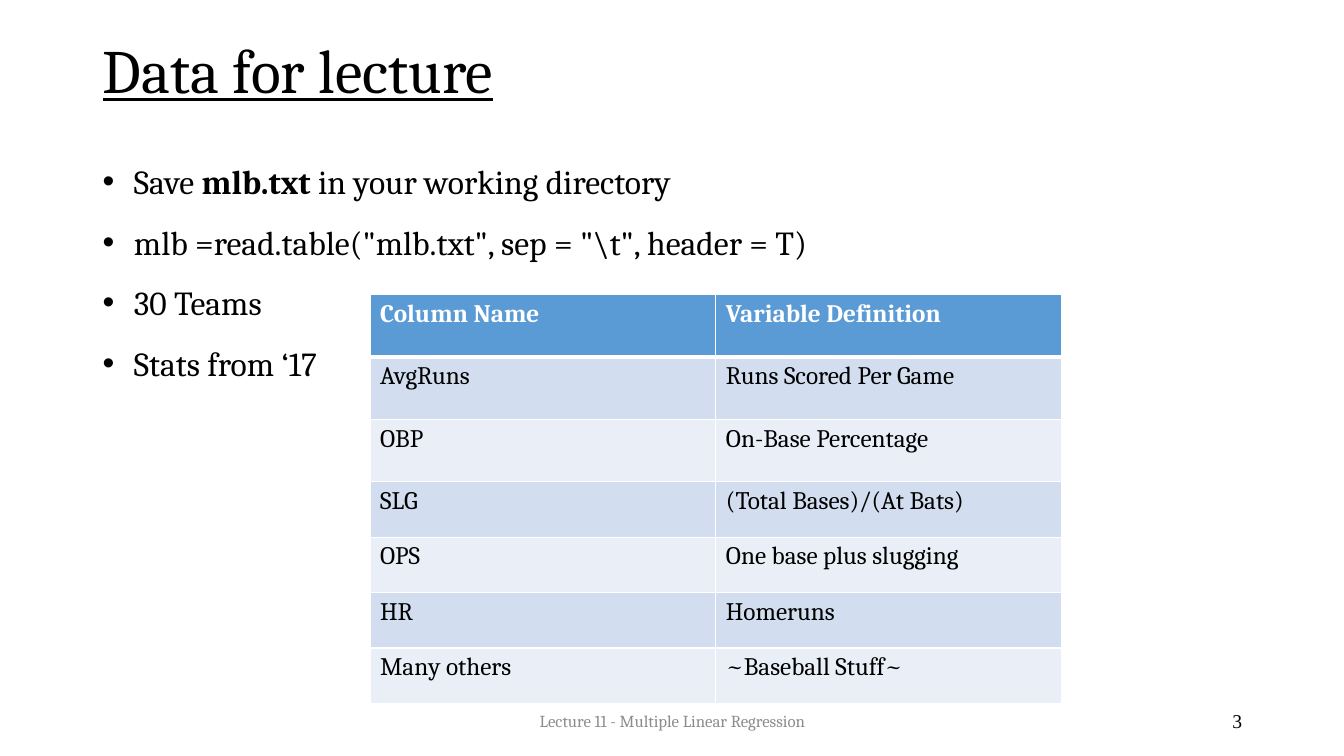
from dataclasses import dataclass

from lxml import etree
from pptx import Presentation
from pptx import util as u
from pptx.dml.color import RGBColor
from pptx.enum import text
from pptx.oxml import ns

PX = 9144  # EMU per px, 100 px to the inch


@dataclass(frozen=True)
class Theme:
    serif: str = "Cambria"
    times: str = "Times New Roman"
    ink: str = "000000"
    grey: str = "8C8C8C"
    white: str = "FFFFFF"
    head: str = "5B9BD5"
    bands: tuple = ("D2DEEF", "EAEFF7")
    title: int = 44
    body: int = 24
    cell: int = 18
    page: int = 14
    foot: int = 12


T = Theme()
LEFT, MID, RIGHT = text.PP_ALIGN.LEFT, text.PP_ALIGN.CENTER, text.PP_ALIGN.RIGHT

POINTS = [
    [("Save ", False), ("mlb.txt ", True), ("in your working directory", False)],
    [('mlb =read.table("mlb.txt", sep = "\\t", header = T)', False)],
    [("30 Teams", False)],
    [("Stats from ‘17", False)],
]
ROWS = [
    ("Column Name", "Variable Definition"),
    ("AvgRuns", "Runs Scored Per Game"),
    ("OBP", "On-Base Percentage"),
    ("SLG", "(Total Bases)/(At Bats)"),
    ("OPS", "One base plus slugging"),
    ("HR", "Homeruns"),
    ("Many others", "~Baseball Stuff~"),
]


def scale(*box):
    return [n * PX for n in box]


def style(font, size, color=T.ink, name=T.serif, **more):
    form = dict(size=u.Pt(size), name=name, **more)
    for key, val in form.items():
        setattr(font, key, val)
    font.color.rgb = RGBColor.from_string(color)


def title(slide, box, words):
    shape = slide.shapes.title
    for key, val in zip(("left", "top", "width", "height"), scale(*box)):
        setattr(shape, key, val)
    frame = shape.text_frame
    frame.text = words
    frame.auto_size = text.MSO_AUTO_SIZE.NONE
    frame.vertical_anchor = text.MSO_ANCHOR.MIDDLE
    para = frame.paragraphs[0]
    para.alignment, para.line_spacing = LEFT, 0.9
    style(para.runs[0].font, T.title, underline=True)


def bullet(para, hang):
    props = para._p.get_or_add_pPr()
    props.set("marL", str(hang * PX))
    props.set("indent", str(-hang * PX))
    etree.SubElement(props, ns.qn("a:buFont")).set("typeface", "Arial")
    etree.SubElement(props, ns.qn("a:buChar")).set("char", "•")


def points(slide, box, items):
    frame = slide.shapes.add_textbox(*scale(*box)).text_frame
    frame.word_wrap = True
    for i, item in enumerate(items):
        para = frame.add_paragraph() if i else frame.paragraphs[0]
        bullet(para, 31)
        para.line_spacing = 1.5
        for words, bold in item:
            run = para.add_run()
            run.text = words
            style(run.font, T.body, bold=bold)


def edge(cell, side, width):
    line = etree.SubElement(cell._tc.get_or_add_tcPr(), ns.qn("a:ln" + side))
    line.set("w", str(u.Pt(width)))
    fill = etree.SubElement(line, ns.qn("a:solidFill"))
    etree.SubElement(fill, ns.qn("a:srgbClr")).set("val", T.white)


def table(slide, box, rows, tall=3):
    """The first `tall` rows are higher than the rest."""
    frame = slide.shapes.add_table(len(rows), len(rows[0]), *scale(*box))
    grid = frame.table
    for r, row in enumerate(rows):
        grid.rows[r].height = (62 if r < tall else 55) * PX
        for c, words in enumerate(row):
            cell = grid.cell(r, c)
            for side in "LRTB":
                thick = (r, side) in ((0, "B"), (1, "T"))
                edge(cell, side, 3 if thick else 1)
            cell.fill.solid()
            shade = T.bands[(r - 1) % 2] if r else T.head
            cell.fill.fore_color.rgb = RGBColor.from_string(shade)
            cell.text = words
            font = cell.text_frame.paragraphs[0].runs[0].font
            style(font, T.cell, T.ink if r else T.white, bold=r == 0)


def label(slide, box, words, align, **form):
    frame = slide.shapes.add_textbox(*scale(*box)).text_frame
    frame.word_wrap = True
    frame.vertical_anchor = text.MSO_ANCHOR.MIDDLE
    para = frame.paragraphs[0]
    para.alignment = align
    run = para.add_run()
    run.text = words
    style(run.font, **form)


def footer(slide, box):
    x, y, w, h = box
    label(slide, (x, y, 450, h), "Lecture 11 - Multiple Linear Regression", MID,
          size=T.foot, color=T.grey)
    label(slide, (x + w - 300, y, 300, h), "3", RIGHT,
          size=T.page, name=T.times)


def main():
    deck = Presentation()
    deck.slide_width, deck.slide_height = scale(1333, 750)
    slide = deck.slides.add_slide(deck.slide_layouts[5])
    title(slide, (92, 0, 950, 145), "Data for lecture")
    footer(slide, (442, 695, 800, 40))
    points(slide, (92, 135, 772, 313), POINTS)
    table(slide, (367, 292, 686, 407), ROWS)
    deck.save("out.pptx")


if __name__ == "__main__":
    main()
